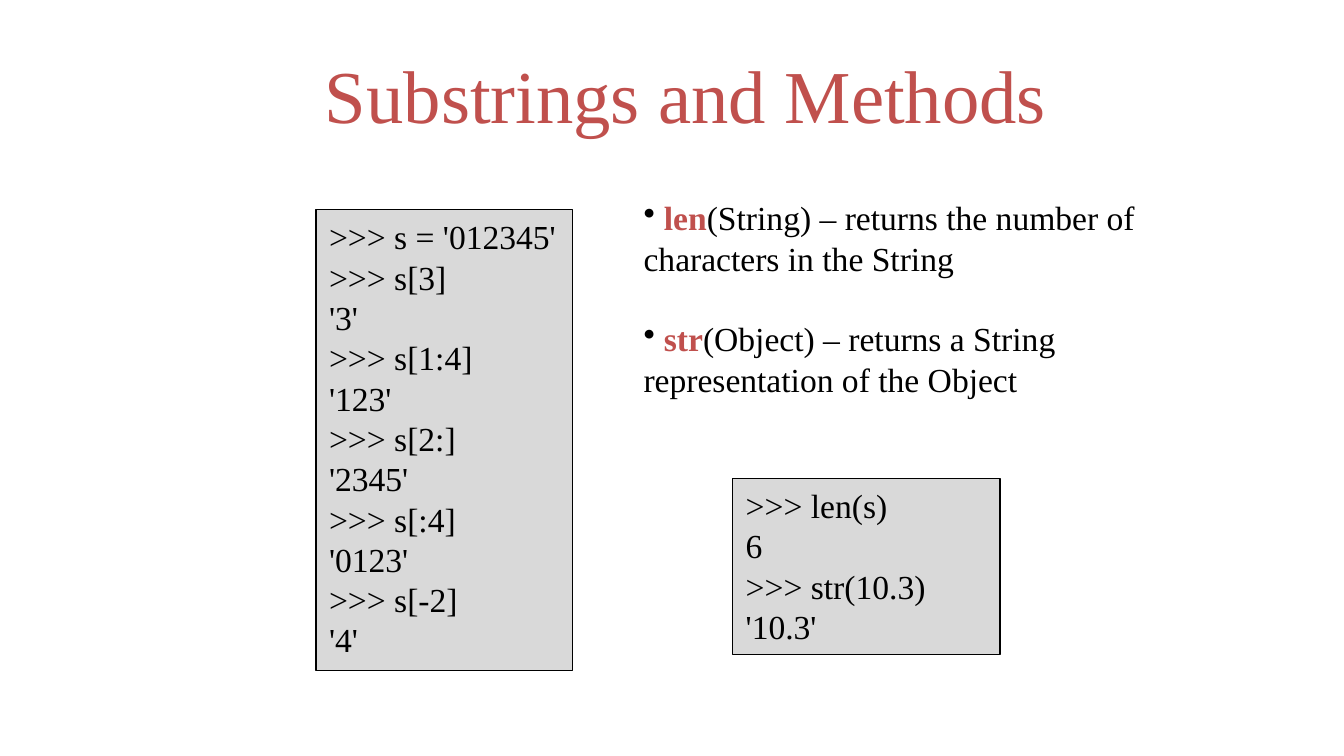
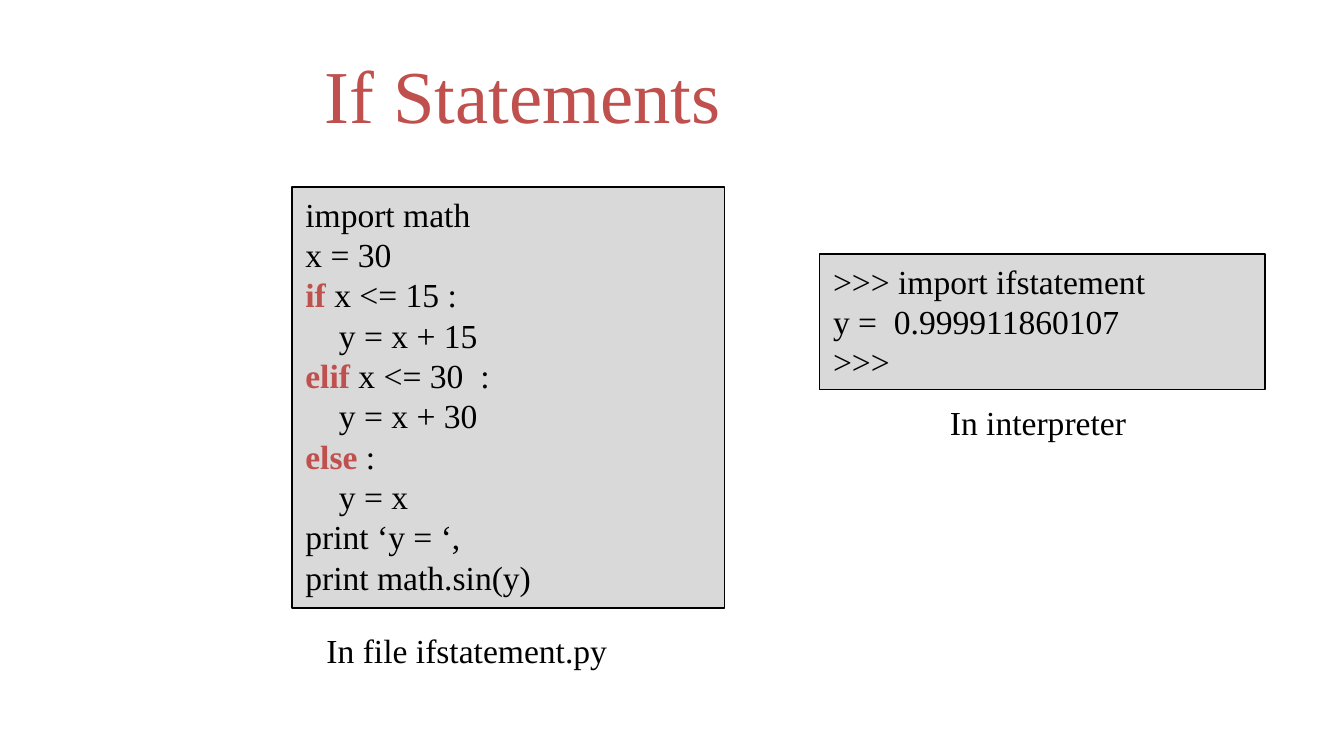
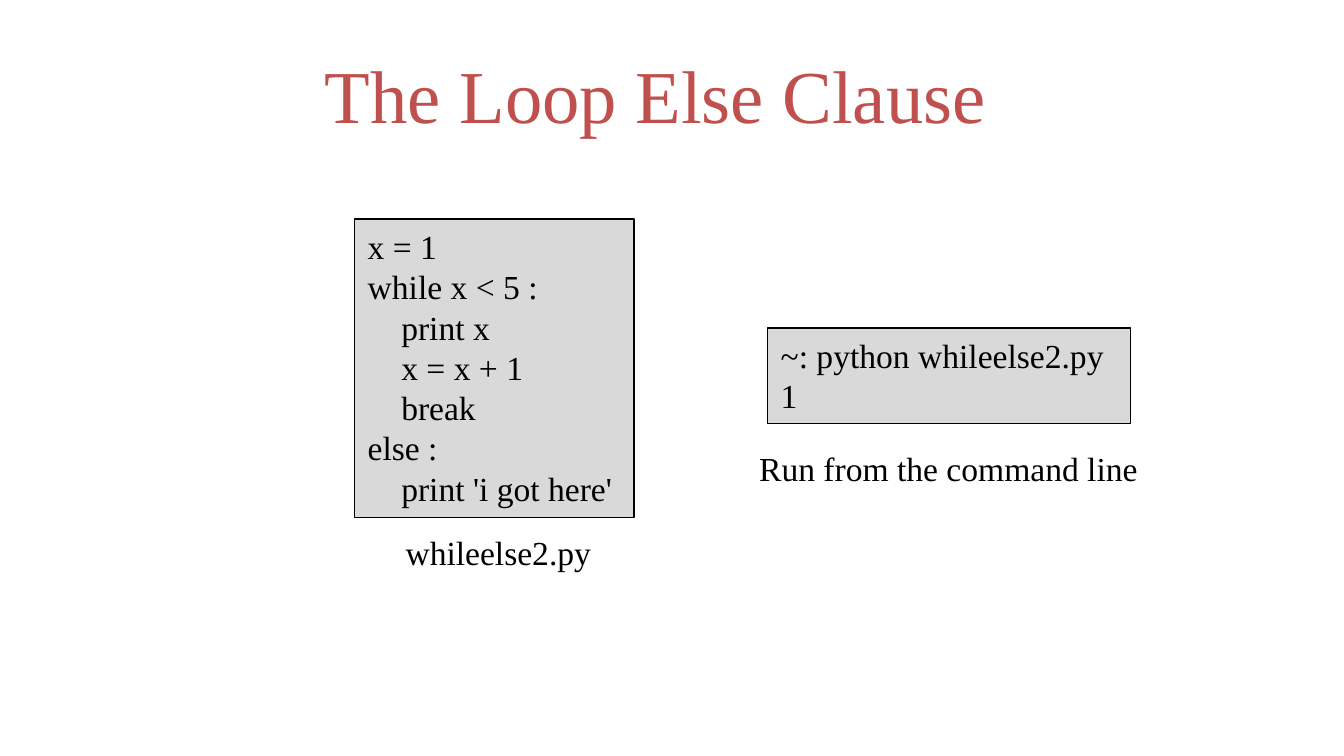
from pptx import Presentation
from pptx.dml.color import RGBColor
from pptx.enum import shapes, text
from pptx.oxml import parse_xml
from pptx.oxml import ns
from pptx.util import Pt

RED = RGBColor(0xC0, 0x50, 0x4D)
BLACK = RGBColor(0, 0, 0)
GREY = RGBColor(0xD9, 0xD9, 0xD9)
FONT = "Times New Roman"
BODY, HEADING = 18, 40
LEADING = 21.6
SPACE_WIDTH = BODY / 4
TITLE_BOX = (167, 16.5, 517, 67.7)
CAPTION_HEIGHT = 28.8


def add_run(p, words, size=BODY, color=BLACK, bold=False):
    """Add one styled run to a paragraph."""
    r = p.add_run()
    r.text = words
    r.font.name, r.font.size, r.font.bold = FONT, Pt(size), bold
    r.font.color.rgb = color


def add_lines(tf, lines):
    """Write one paragraph per line, with |keywords| in bold red and leading spaces as indent."""
    tf.word_wrap = True
    tf.vertical_anchor = text.MSO_ANCHOR.TOP
    for i, line in enumerate(lines):
        p = tf.add_paragraph() if i else tf.paragraphs[0]
        p.alignment = text.PP_ALIGN.LEFT
        p.line_spacing = Pt(LEADING)
        code = line.lstrip(" ")
        indent = (len(line) - len(code)) * SPACE_WIDTH
        if indent:
            p._p.get_or_add_pPr().set("marL", str(Pt(indent)))
        for j, part in enumerate(code.split("|")):
            keyword = j % 2 == 1
            if part:
                add_run(p, part, color=RED if keyword else BLACK, bold=keyword)


def add_title(s, words):
    """Add the slide title."""
    tf = s.shapes.add_textbox(*map(Pt, TITLE_BOX)).text_frame
    tf.word_wrap = True
    tf.vertical_anchor = text.MSO_ANCHOR.MIDDLE
    add_run(tf.paragraphs[0], words, HEADING, RED)


def add_code(s, box, lines):
    """Add a grey, outlined box of code."""
    sp = s.shapes.add_shape(shapes.MSO_SHAPE.RECTANGLE, *map(Pt, box))
    sp.shadow.inherit = False
    sp.fill.solid()
    sp.fill.fore_color.rgb = GREY
    sp.line.color.rgb = BLACK
    sp.line.width = Pt(0.75)
    add_lines(sp.text_frame, lines)


def add_caption(s, left, top, width, words):
    """Add a one-line caption."""
    sp = s.shapes.add_textbox(Pt(left), Pt(top), Pt(width), Pt(CAPTION_HEIGHT))
    add_lines(sp.text_frame, [words])


def add_bullets(s, box, items):
    """Add bulleted descriptions, one blank line's height apart."""
    tf = s.shapes.add_textbox(*map(Pt, box)).text_frame
    add_lines(tf, items)
    for p in tf.paragraphs:
        if p is not tf.paragraphs[-1]:
            p.space_after = Pt(LEADING)
        pPr = p._p.get_or_add_pPr()
        pPr.set("marL", "0")
        pPr.set("indent", "0")
        pPr.append(parse_xml(f'<a:buChar {ns.nsdecls("a")} char="•"/>'))
    tf.paragraphs[-1].space_after = Pt(0)


def new_slide(prs, title):
    """Add a blank slide with its title."""
    s = prs.slides.add_slide(prs.slide_layouts[6])
    add_title(s, title)
    return s


def substrings_slide(prs):
    """Build the slide on slicing and string functions."""
    s = new_slide(prs, "Substrings and Methods")
    add_code(s, (169.2, 112.3, 137.5, 247), [
        ">>> s = '012345'", ">>> s[3]", "'3'", ">>> s[1:4]", "'123'", ">>> s[2:]",
        "'2345'", ">>> s[:4]", "'0123'", ">>> s[-2]", "'4'"])
    add_bullets(s, (337.7, 102.2, 280.1, 116.6), [
        "| |len|(String) – returns the number of characters in the String".replace("| |", "\u00a0|"),
        "| |str|(Object) – returns a String representation of the Object".replace("| |", "\u00a0|")])
    add_code(s, (392.4, 256.3, 143.3, 94.3), [">>> len(s)", "6", ">>> str(10.3)", "'10.3'"])


def if_slide(prs):
    """Build the slide on if statements."""
    s = new_slide(prs, "If Statements")
    add_code(s, (156.5, 100.3, 231.8, 225.4), [
        "import math", "x = 30", "|if| x <= 15 :", "    y = x + 15", "|elif| x <= 30  :",
        "    y = x + 30", "|else| :", "    y = x", "print ‘y = ‘,", "print math.sin(y)"])
    add_caption(s, 167.8, 334.1, 167, "In file ifstatement.py")
    add_code(s, (439.2, 136.1, 238.5, 72.7),
             [">>> import ifstatement", "y =  0.999911860107", ">>>"])
    add_caption(s, 501.8, 211.7, 113.8, "In interpreter")


def loop_else_slide(prs):
    """Build the slide on the else clause of loops."""
    s = new_slide(prs, "The Loop Else Clause")
    add_code(s, (189.9, 117.4, 149.8, 159.8), [
        "x = 1", "while x < 5 :", "    print x", "    x = x + 1", "    break",
        "else :", "    print 'i got here'"])
    add_code(s, (411.1, 175.7, 194.6, 51.1), ["~: python whileelse2.py", "1"])
    add_caption(s, 210.2, 281.5, 115.2, "whileelse2.py")
    add_caption(s, 399.6, 236.2, 221.8, "Run from the command line")


def main():
    """Build and save the presentation."""
    prs = Presentation()
    prs.slide_width, prs.slide_height = Pt(720), Pt(405)
    substrings_slide(prs)
    if_slide(prs)
    loop_else_slide(prs)
    prs.save("out.pptx")


if __name__ == "__main__":
    main()
